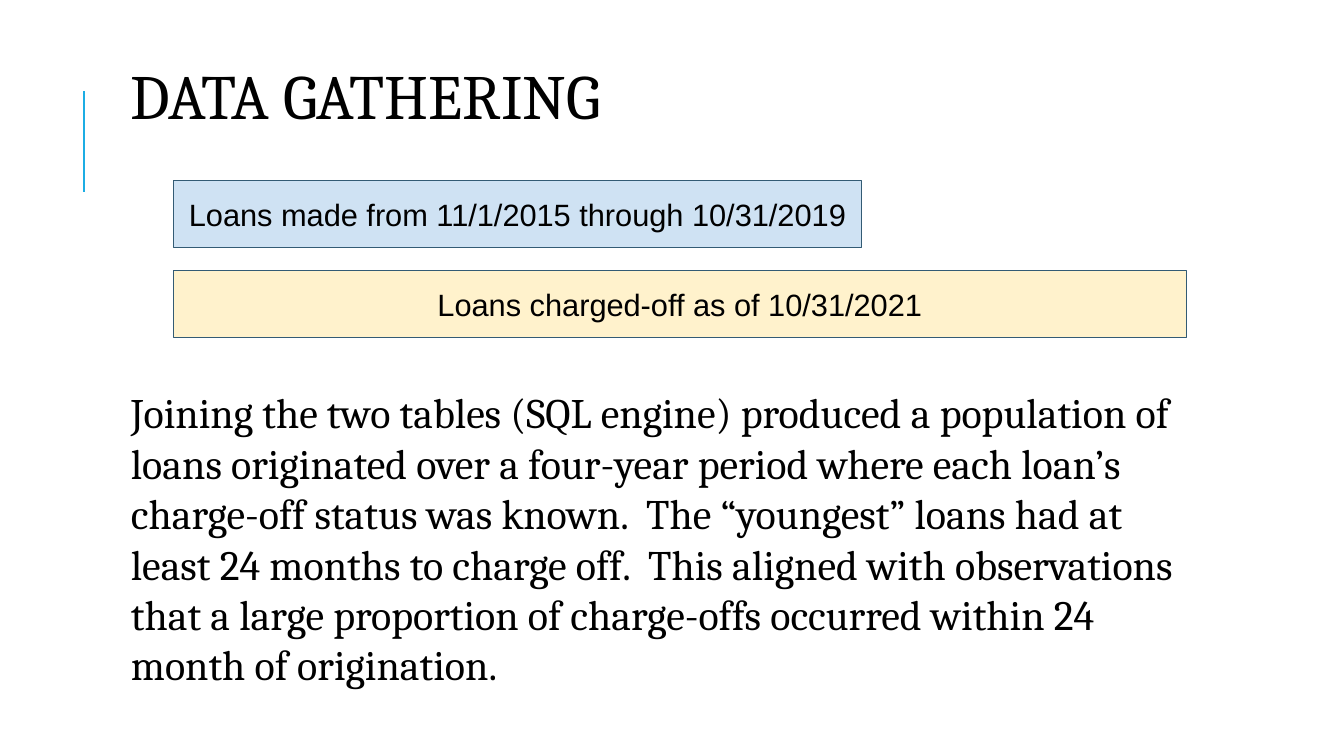
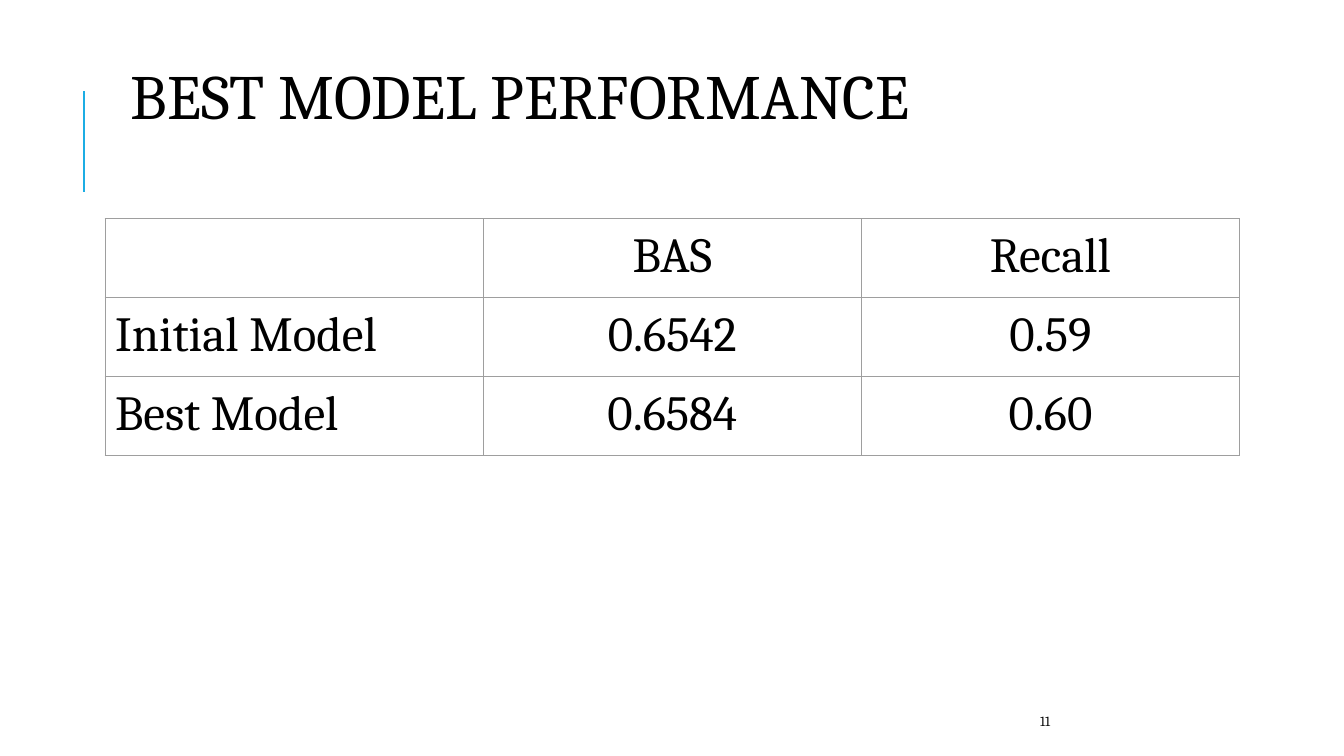
from pptx import Presentation
from pptx.dml.color import RGBColor
from pptx.enum.shapes import MSO_CONNECTOR as Link, MSO_SHAPE as Kind
from pptx.enum.text import MSO_ANCHOR as Anchor, PP_ALIGN as Align
from pptx.oxml.ns import qn
from pptx.util import Cm, Pt
from lxml.etree import SubElement

HUES = {
    "text": "000000",
    "page": "0C0C0C",
    "rule": "1CADE4",
    "edge": "335B74",
    "made": "CFE2F3",
    "lost": "FFF2CC",
    "grid": "9E9E9E",
}
SERIF, SANS = "Cambria", "Arial"
LEFT, WIDE = 3.05, 27.56
PAD = Cm(0.25)

STORY = (
    "Joining the two tables (SQL engine) produced a population of loans "
    "originated over a four-year period where each loan’s charge-off status "
    "was known.  The “youngest” loans had at least 24 months to charge off.  "
    "This aligned with observations that a large proportion of charge-offs "
    "occurred within 24 month of origination."
)
SCORES = [
    ["", "BAS", "Recall"],
    ["Initial Model", "0.6542", "0.59"],
    ["Best Model", "0.6584", "0.60"],
]


def hue(name):
    return RGBColor.from_string(HUES[name])


def write(frame, text, size, font=SERIF, color="text", align=Align.LEFT):
    """Fill a text frame and format its run."""
    frame.text = text
    para = frame.paragraphs[0]
    para.alignment = align
    for run in para.runs:
        run.font.name = font
        run.font.size = Pt(size)
        run.font.color.rgb = hue(color)


def pad(frame, anchor=Anchor.TOP):
    frame.word_wrap = True
    frame.vertical_anchor = anchor
    frame.margin_left = frame.margin_right = PAD
    frame.margin_top = frame.margin_bottom = PAD


def add_text(slide, box, text, size, color="text", anchor=Anchor.TOP):
    frame = slide.shapes.add_textbox(*map(Cm, box)).text_frame
    pad(frame, anchor)
    write(frame, text, size, color=color)


def add_bar(slide, top, width, text, fill):
    """Draw a labelled bar of the loan timeline."""
    bar = slide.shapes.add_shape(
        Kind.RECTANGLE, Cm(4.37), Cm(top), Cm(width), Cm(1.7))
    bar.shadow.inherit = False
    bar.fill.solid()
    bar.fill.fore_color.rgb = hue(fill)
    bar.line.color.rgb = hue("edge")
    bar.line.width = Pt(0.75)
    pad(bar.text_frame, Anchor.MIDDLE)
    write(bar.text_frame, text, 22, SANS, align=Align.CENTER)


def add_rule(slide):
    x = Cm(2.11)
    rule = slide.shapes.add_connector(
        Link.STRAIGHT, x, Cm(4.83), x, Cm(2.29))
    rule.line.color.rgb = hue("rule")
    rule.line.width = Pt(1.5)
    SubElement(rule._element.spPr, qn("a:effectLst"))


def add_edges(cell):
    """Give a table cell a thin line on all four sides."""
    props = cell._tc.get_or_add_tcPr()
    for side in "LRTB":
        line = SubElement(props, qn(f"a:ln{side}"), w=str(Pt(0.75)))
        fill = SubElement(line, qn("a:solidFill"))
        SubElement(fill, qn("a:srgbClr"), val=HUES["grid"])


def add_grid(slide, rows):
    count, high = len(rows[0]), 1.99
    table = slide.shapes.add_table(
        len(rows), count, Cm(2.65), Cm(5.51),
        Cm(9.53 * count), Cm(high * len(rows))).table
    table.first_row = table.horz_banding = False
    for r, row in enumerate(rows):
        for c, text in enumerate(row):
            cell = table.cell(r, c)
            cell.margin_left = cell.margin_right = PAD
            cell.margin_top = cell.margin_bottom = PAD
            write(cell.text_frame, text, 35,
                  align=Align.CENTER if c else Align.LEFT)
            add_edges(cell)
            cell.fill.background()


def add_slide(deck, title):
    """Start a slide with the shared rule and title."""
    slide = deck.slides.add_slide(deck.slide_layouts[6])
    add_rule(slide)
    add_text(slide, (LEFT, 1.17, WIDE, 2.44), title, 45)
    return slide


def main():
    deck = Presentation()
    deck.slide_width, deck.slide_height = Cm(33.87), Cm(19.05)

    # Data sources and how they were joined
    data = add_slide(deck, "DATA GATHERING")
    add_bar(data, 4.55, 17.35,
            "Loans made from 11/1/2015 through 10/31/2019", "made")
    add_bar(data, 6.81, 25.53, "Loans charged-off as of 10/31/2021", "lost")
    add_text(data, (LEFT, 9.5, WIDE, 8.2), STORY, 30)

    # Model scores
    model = add_slide(deck, "BEST MODEL PERFORMANCE")
    add_grid(model, SCORES)
    add_text(model, (25.96, 17.65, 7.9, 1.02), "11", 10, "page",
             Anchor.MIDDLE)

    deck.save("out.pptx")


main()
